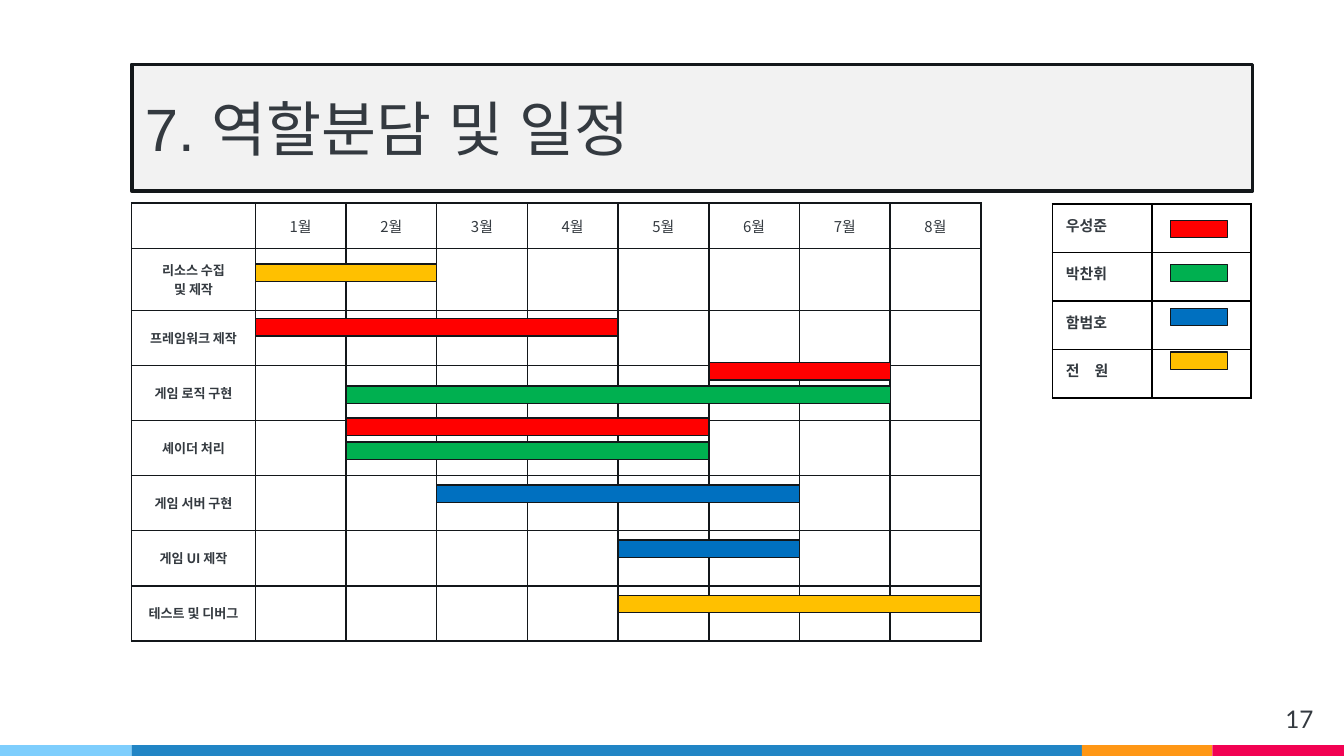
import pptx
import pptx.dml.color
import pptx.enum.shapes
import pptx.enum.text
import pptx.util
import lxml.etree
from itertools import accumulate

NAMESPACE = "{http://schemas.openxmlformats.org/drawingml/2006/main}"
COLORS = {
    "text": "343A40", "outline": "13171A", "border": "000000", "panel": "F2F2F2",
    "sky": "7ECEFD", "ocean": "2185C5", "orange": "FF9715", "pink": "F20253",
    "red": "FF0000", "green": "00B050", "blue": "0070C0", "yellow": "FFC000",
}
WIDTH = 10
HEIGHT = WIDTH * 9 / 16
BAR_HEIGHT = 0.13
MONTHS = [f"{month}월" for month in range(1, 9)]
TASKS = ["리소스 수집\n및 제작", "프레임워크 제작", "게임 로직 구현", "셰이더 처리",
         "게임 서버 구현", "게임 UI 제작", "테스트 및 디버그"]
BARS = [
    (1, 1, 2, "yellow", 0.25), (2, 1, 4, "red", 0.15),
    (3, 2, 6, "green", 0.37), (4, 2, 4, "red", -0.05),
    (4, 2, 4, "green", 0.39), (5, 3, 4, "blue", 0.17),
    (6, 5, 2, "blue", 0.17), (7, 5, 4, "yellow", 0.17),
    (3, 6, 2, "red", -0.05),
]
MEMBERS = [("우성준", "red"), ("박찬휘", "green"), ("함범호", "blue"), ("전　원", "yellow")]


def rgb(color):
    return pptx.dml.color.RGBColor.from_string(COLORS[color])


def inches(values):
    return [pptx.util.Inches(value) for value in values]


def add_box(slide, box, fill, line_width=0):
    shape = slide.shapes.add_shape(
        pptx.enum.shapes.MSO_SHAPE.RECTANGLE, *inches(box))
    shape.shadow.inherit = False
    shape.fill.solid()
    shape.fill.fore_color.rgb = rgb(fill)
    if line_width:
        shape.line.color.rgb = rgb("outline")
        shape.line.width = pptx.util.Pt(line_width)
    else:
        shape.line.fill.background()
    return shape


def write(frame, text, size, font, align="LEFT", bold=False):
    frame.text = text
    for paragraph in frame.paragraphs:
        paragraph.alignment = getattr(pptx.enum.text.PP_ALIGN, align)
        paragraph.font.size = pptx.util.Pt(size)
        paragraph.font.name = font
        paragraph.font.bold = bold
        paragraph.font.color.rgb = rgb("text")
        properties = paragraph.font._rPr
        for old in properties.findall(f"{NAMESPACE}ea"):
            properties.remove(old)
        lxml.etree.SubElement(properties, f"{NAMESPACE}ea", typeface=font)


def set_margins(target, margin):
    target.margin_left = target.margin_right = pptx.util.Inches(margin)
    target.margin_top = target.margin_bottom = pptx.util.Inches(margin)


def add_borders(cell, color):
    properties = cell._tc.get_or_add_tcPr()
    for index, side in enumerate(("lnL", "lnR", "lnT", "lnB")):
        line = lxml.etree.Element(f"{NAMESPACE}{side}", w=str(pptx.util.Pt(1)))
        fill = lxml.etree.SubElement(line, f"{NAMESPACE}solidFill")
        lxml.etree.SubElement(fill, f"{NAMESPACE}srgbClr", val=COLORS[color])
        properties.insert(index, line)


def add_grid(slide, left, top, widths, heights, margin, border):
    box = inches((left, top, sum(widths), sum(heights)))
    table = slide.shapes.add_table(len(heights), len(widths), *box).table
    table.first_row = table.horz_banding = False
    for column, width in zip(table.columns, widths):
        column.width = pptx.util.Inches(width)
    for row, height in zip(table.rows, heights):
        row.height = pptx.util.Inches(height)
    for cell in table.iter_cells():
        set_margins(cell, margin)
        cell.fill.background()
        add_borders(cell, border)
        write(cell.text_frame, "", 8, "Arial")
    return table


def add_footer(slide, left, top, width, height):
    shares = (0.098, 0.707, 0.097, 0.098)
    starts = accumulate(shares, initial=0)
    for start, share, color in zip(starts, shares, ("sky", "ocean", "orange", "pink")):
        add_box(slide, (left + start * width, top, share * width, height), color)


def add_title(slide, box):
    frame = add_box(slide, box, "panel", 2).text_frame
    set_margins(frame, 0.1)
    frame.word_wrap = True
    frame.vertical_anchor = pptx.enum.text.MSO_ANCHOR.MIDDLE
    write(frame, "7. 역할분담 및 일정", 32, "Arial")


def add_page_number(slide, box):
    frame = slide.shapes.add_textbox(*inches(box)).text_frame
    set_margins(frame, 0.1)
    frame.word_wrap = True
    write(frame, "17", 13, "Lato", "RIGHT")


def add_schedule(slide, left, top, width):
    label_width = 0.92
    month_width = (width - label_width) / len(MONTHS)
    heights = [0.34, 0.46] + [0.41] * (len(TASKS) - 1)
    widths = [label_width] + [month_width] * len(MONTHS)
    table = add_grid(slide, left, top, widths, heights, 0.09, "outline")
    for cell in table.iter_cells():
        cell.vertical_anchor = pptx.enum.text.MSO_ANCHOR.MIDDLE
    for column, month in enumerate(MONTHS, 1):
        write(table.cell(0, column).text_frame, month, 8, "Noto Sans CJK KR", "CENTER")
    for row, task in enumerate(TASKS, 1):
        write(table.cell(row, 0).text_frame, task, 7, "Noto Sans CJK KR", "CENTER", True)
    row_tops = list(accumulate(heights, initial=top))
    for row, month, length, color, offset in BARS:
        bar_left = left + label_width + (month - 1) * month_width
        bar_top = row_tops[row] + offset * heights[row]
        add_box(slide, (bar_left, bar_top, length * month_width, BAR_HEIGHT), color, 0.75)


def add_legend(slide, left, top, width):
    column_width = width / 2
    table = add_grid(slide, left, top, [column_width] * 2,
                     [0.36] * len(MEMBERS), 0.1, "border")
    for row, (member, color) in enumerate(MEMBERS):
        write(table.cell(row, 0).text_frame, member, 8, "Arial", bold=True)
        swatch = (left + 1.19 * column_width, top + 0.12 + row * 0.327,
                  0.57 * column_width, BAR_HEIGHT)
        add_box(slide, swatch, color, 0.75)


def main():
    presentation = pptx.Presentation()
    presentation.slide_width, presentation.slide_height = inches((WIDTH, HEIGHT))
    slide = presentation.slides.add_slide(presentation.slide_layouts[6])
    add_footer(slide, 0, HEIGHT - 0.08, WIDTH, 0.08)
    add_title(slide, (0.98, 0.48, 8.34, 0.94))
    add_page_number(slide, (9.27, 5.14, 0.6, 0.34))
    add_schedule(slide, 0.98, 1.51, 6.32)
    add_legend(slide, 7.83, 1.52, 1.48)
    presentation.save("out.pptx")


if __name__ == "__main__":
    main()
